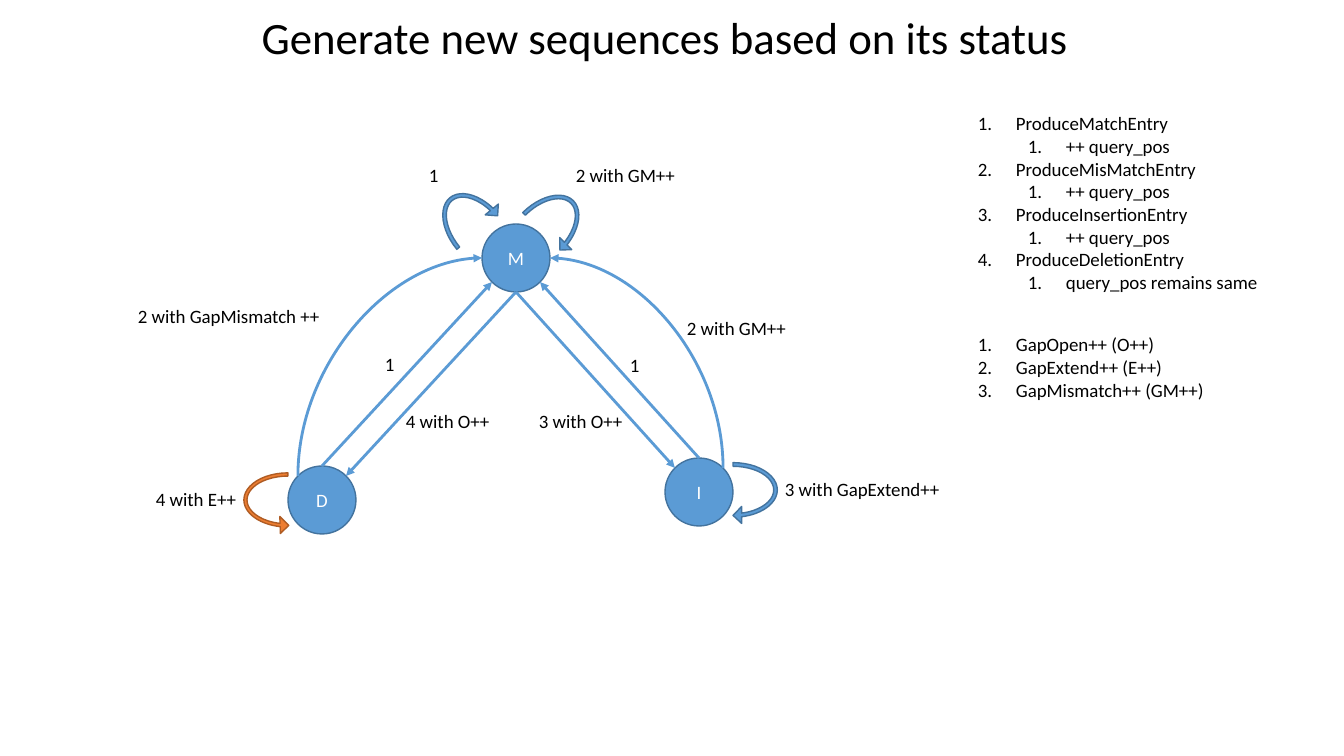
from math import cos, radians, sin

from lxml.etree import SubElement
from pptx import Presentation
from pptx.dml.color import RGBColor
from pptx.enum.shapes import MSO_CONNECTOR as LINK, MSO_SHAPE as SHAPE
from pptx.enum.text import MSO_ANCHOR as ANCHOR, MSO_AUTO_SIZE as AUTO, PP_ALIGN as ALIGN
from pptx.oxml.ns import qn
from pptx.util import Pt

PX = 914400 / 100.8
FONT = "Calibri"
BODY_SIZE = 13.5
COLORS = {"blue": "5B9BD5", "blue_edge": "43739E", "orange": "ED7D31",
          "orange_edge": "AF5C24", "white": "FFFFFF", "black": "000000"}

TITLE = "Generate new sequences based on its status"
RADIUS = 34
STATES = {"M": (516, 258), "D": (322, 500), "I": (699, 492)}  # centres

# Ellipse connection sites run counter-clockwise from the top in 45 degree steps
TOP, TOP_LEFT, LEFT, BOTTOM_LEFT, BOTTOM, BOTTOM_RIGHT, RIGHT, TOP_RIGHT = range(8)
TRANSITIONS = [("M", BOTTOM, "D", TOP_RIGHT), ("D", TOP, "M", BOTTOM_LEFT),
               ("M", BOTTOM, "I", TOP_LEFT), ("I", TOP, "M", BOTTOM_RIGHT)]
MISMATCHES = [("D", TOP_LEFT, "M", LEFT, 90, "1"), ("I", TOP_RIGHT, "M", RIGHT, 270, "0")]

LOOP_SIZE = (68, 102)
LOOP_BEND = (0.054, 11.423, 204.577, 108, 0.125)
LOOPS = [  # centre, rotation, colour, mirrored, bend
    ((288, 500), 270, "orange", True, (0.047, 11.423, 205.612, 108, 0.125)),
    ((733, 490), 90, "blue", False, LOOP_BEND),
    ((542, 232), 45.2, "blue", False, LOOP_BEND),
    ((478, 232), 320.6, "blue", False, LOOP_BEND),
]

LABEL_HEIGHT = 33
LABELS = [  # text, left, top, width
    ("1", 419, 159, 30), ("2 with GM++", 566, 159, 121),
    ("2 with GapMismatch ++", 128, 300, 205), ("2 with GM++", 677, 312, 121),
    ("1", 375, 348, 30), ("1", 620, 349, 30),
    ("4 with O++", 396, 405, 105), ("3 with O++", 529, 405, 105),
    ("4 with E++", 146, 483, 102), ("3 with GapExtend++", 775, 473, 181),
]

LIST_LEFT, LIST_WIDTH = 968, 311
INDENTS = (38, 88)
ENTRIES = [("ProduceMatchEntry", 0), ("++ query_pos", 1),
           ("ProduceMisMatchEntry", 0), ("++ query_pos", 1),
           ("ProduceInsertionEntry", 0), ("++ query_pos", 1),
           ("ProduceDeletionEntry", 0), ("query_pos remains same", 1)]
COUNTERS = [("GapOpen++ (O++)", 0), ("GapExtend++ (E++)", 0), ("GapMismatch++ (GM++)", 0)]


def px(length):
    """Turn pixels into EMU."""
    return round(length * PX)


def rgb(name):
    """Look up a palette colour."""
    return RGBColor.from_string(COLORS[name])


def format_runs(frame, size=BODY_SIZE, color="black"):
    """Set font, size and colour on all runs of a text frame."""
    for paragraph in frame.paragraphs:
        for run in paragraph.runs:
            run.font.name, run.font.size = FONT, Pt(size)
            run.font.color.rgb = rgb(color)


def add_centred(slide, kind, centre, size, color):
    """Add a filled, outlined shape around its centre."""
    (x, y), (width, height) = centre, size
    shape = slide.shapes.add_shape(kind, px(x - width / 2), px(y - height / 2),
                                   px(width), px(height))
    shape.shadow.inherit = False
    shape.fill.solid()
    shape.fill.fore_color.rgb = rgb(color)
    shape.line.color.rgb = rgb(color + "_edge")
    shape.line.width = Pt(1)
    return shape


def add_state(slide, name, centre):
    """Add a state circle with its letter."""
    circle = add_centred(slide, SHAPE.OVAL, centre, (2 * RADIUS, 2 * RADIUS), "blue")
    frame = circle.text_frame
    frame.text = name
    frame.vertical_anchor = ANCHOR.MIDDLE
    frame.paragraphs[0].alignment = ALIGN.CENTER
    format_runs(frame, color="white")
    return circle


def add_loop(slide, centre, rotation, color, mirrored, bend):
    """Add a bent arrow from a state to itself."""
    loop = add_centred(slide, SHAPE.CIRCULAR_ARROW, centre, LOOP_SIZE, color)
    loop.rotation = rotation
    for index, value in enumerate(bend):
        loop.adjustments[index] = value
    if mirrored:
        loop._element.spPr.xfrm.set("flipH", "1")


def site_point(state, site):
    """Locate a connection site on a state circle."""
    x, y = STATES[state]
    angle = radians(90 + 45 * site)
    return x + RADIUS * cos(angle), y - RADIUS * sin(angle)


def add_arrow(slide, circles, kind, source, source_site, target, target_site):
    """Add an arrow glued to two state circles."""
    ends = site_point(source, source_site) + site_point(target, target_site)
    arrow = slide.shapes.add_connector(kind, *map(px, ends))
    arrow.line.color.rgb = rgb("blue")
    arrow.line.width = Pt(2)
    SubElement(arrow.line._get_or_add_ln(), qn("a:tailEnd"), type="triangle")
    SubElement(arrow._element.spPr, qn("a:effectLst"))
    glue = arrow._element.nvCxnSpPr.cNvCxnSpPr
    for tag, state, site in (("a:stCxn", source, source_site), ("a:endCxn", target, target_site)):
        SubElement(glue, qn(tag), id=str(circles[state].shape_id), idx=str(site))
    return arrow


def add_curve(slide, circles, source, source_site, target, target_site, turn, flip_h):
    """Add a quarter-bend arrow that leaves upwards and arrives sideways."""
    curve = add_arrow(slide, circles, LINK.CURVE, source, source_site, target, target_site)
    centre_x, centre_y = curve.left + curve.width // 2, curve.top + curve.height // 2
    curve.width, curve.height = curve.height, curve.width
    curve.left, curve.top = centre_x - curve.width // 2, centre_y - curve.height // 2
    properties = curve._element.spPr
    properties.find(qn("a:prstGeom")).set("prst", "curvedConnector2")
    for key, value in (("rot", str(turn * 60000)), ("flipH", flip_h), ("flipV", "1")):
        properties.xfrm.set(key, value)


def add_label(slide, text, left, top, width):
    """Add a one-line label."""
    frame = slide.shapes.add_textbox(px(left), px(top), px(width), px(LABEL_HEIGHT)).text_frame
    frame.text = text
    frame.word_wrap = False
    frame.auto_size = AUTO.SHAPE_TO_FIT_TEXT
    format_runs(frame)


def add_numbered(slide, items, top, height):
    """Add a numbered list with up to two levels."""
    frame = slide.shapes.add_textbox(px(LIST_LEFT), px(top), px(LIST_WIDTH), px(height)).text_frame
    frame.text = "\n".join(text for text, _ in items)
    frame.word_wrap = True
    frame.auto_size = AUTO.SHAPE_TO_FIT_TEXT
    for paragraph, (_, level) in zip(frame.paragraphs, items):
        paragraph.level = level
        properties = paragraph._p.get_or_add_pPr()
        properties.set("marL", str(px(INDENTS[level])))
        properties.set("indent", str(-px(INDENTS[0])))
        SubElement(properties, qn("a:buFont"), typeface="+mj-lt")
        SubElement(properties, qn("a:buAutoNum"), type="arabicPeriod")
    format_runs(frame)


def add_title(slide):
    """Fill and place the title."""
    title = slide.shapes.title
    title.left, title.top, title.width, title.height = map(px, (168, 9, 994, 60))
    frame = title.text_frame
    frame.text = TITLE
    frame.auto_size = AUTO.NONE
    frame.vertical_anchor = ANCHOR.BOTTOM
    frame.paragraphs[0].alignment = ALIGN.CENTER
    frame.paragraphs[0].line_spacing = 0.9
    format_runs(frame, size=32)


deck = Presentation()
deck.slide_width, deck.slide_height = px(1344), px(756)
slide = deck.slides.add_slide(deck.slide_layouts[5])
add_title(slide)
circles = {name: add_state(slide, name, centre) for name, centre in STATES.items()}
for loop in LOOPS:
    add_loop(slide, *loop)
for transition in TRANSITIONS:
    add_arrow(slide, circles, LINK.STRAIGHT, *transition)
for mismatch in MISMATCHES:
    add_curve(slide, circles, *mismatch)
for label in LABELS:
    add_label(slide, *label)
add_numbered(slide, ENTRIES, 107, 194)
add_numbered(slide, COUNTERS, 328, 79)
deck.save("out.pptx")
